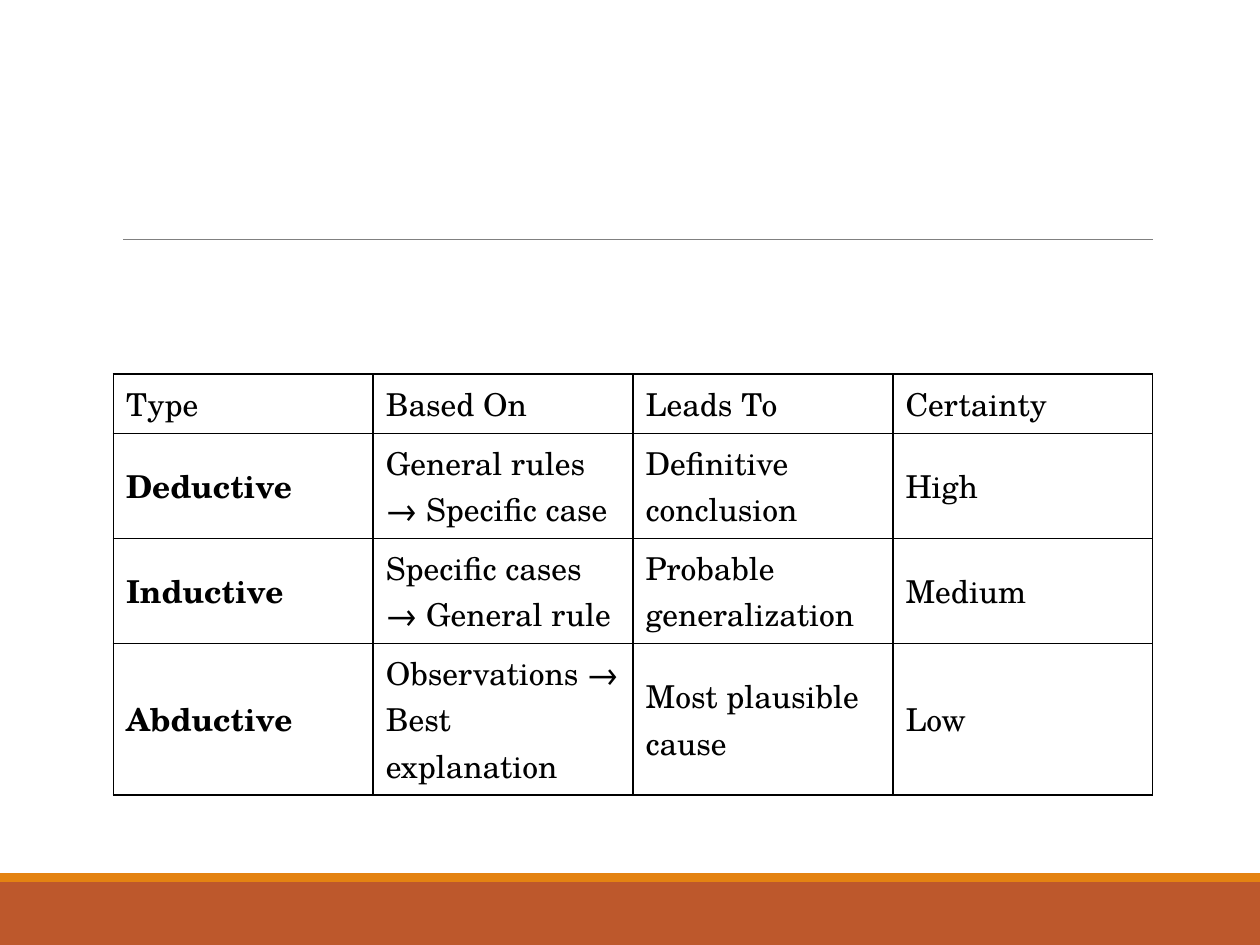
"""Build a slide with a table that compares three types of reasoning."""
from lxml import etree
from pptx import Presentation
from pptx.dml.color import RGBColor
from pptx.enum.shapes import MSO_CONNECTOR, MSO_SHAPE
from pptx.enum.text import MSO_ANCHOR
from pptx.oxml.ns import qn
from pptx.util import Inches, Pt

RECT = MSO_SHAPE.RECTANGLE
STRAIGHT = MSO_CONNECTOR.STRAIGHT
MIDDLE = MSO_ANCHOR.MIDDLE

COLORS = {"band": "BD582C", "stripe": "E48312", "rule": "808080", "ink": "000000"}
FONT = {"name": "TeX Gyre Schola", "size": Pt(18)}
ROWS = [
    ["Type", "Based On", "Leads To", "Certainty"],
    ["Deductive", "General rules → Specific case", "Definitive conclusion", "High"],
    ["Inductive", "Specific cases → General rule", "Probable generalization", "Medium"],
    ["Abductive", "Observations → Best explanation", "Most plausible cause", "Low"],
]
ROW_HEIGHTS = [0.47, 0.83, 0.83, 1.2]


def rgb(key):
    return RGBColor.from_string(COLORS[key])


def add_borders(cell):
    tc_pr = cell._tc.get_or_add_tcPr()
    for i, side in enumerate(("lnL", "lnR", "lnT", "lnB")):
        ln = etree.Element(qn(f"a:{side}"), w=str(Pt(1)))
        fill = etree.SubElement(ln, qn("a:solidFill"))
        etree.SubElement(fill, qn("a:srgbClr"), val=COLORS["ink"])
        tc_pr.insert(i, ln)


prs = Presentation()
prs.slide_width, prs.slide_height = Inches(10), Inches(7.5)
W = prs.slide_width
s = prs.slides.add_slide(prs.slide_layouts[6])

for key, top, height in (("band", 7, 0.5), ("stripe", 6.93, 0.07)):
    sp = s.shapes.add_shape(RECT, 0, Inches(top), W, Inches(height))
    sp.shadow.inherit = False
    sp.fill.solid()
    sp.fill.fore_color.rgb = rgb(key)
    sp.line.fill.background()

rule = s.shapes.add_connector(STRAIGHT, Inches(0.98), Inches(1.9), Inches(9.15), Inches(1.9))
rule.line.color.rgb = rgb("rule")
rule.line.width = Pt(0.5)
etree.SubElement(rule._element.spPr, qn("a:effectLst"))

frame = s.shapes.add_table(len(ROWS), len(ROWS[0]), Inches(0.9), Inches(2.97),
                           Inches(8.25), Inches(sum(ROW_HEIGHTS)))
table = frame.table
table.first_row = table.horz_banding = False
for r, (texts, height) in enumerate(zip(ROWS, ROW_HEIGHTS)):
    table.rows[r].height = Inches(height)
    for c, text in enumerate(texts):
        cell = table.cell(r, c)
        cell.text = text
        cell.vertical_anchor = MIDDLE
        cell.fill.background()
        add_borders(cell)
        font = cell.text_frame.paragraphs[0].runs[0].font
        for name, value in FONT.items():
            setattr(font, name, value)
        font.bold = r > 0 and c == 0
        font.color.rgb = rgb("ink")

prs.save("out.pptx")
